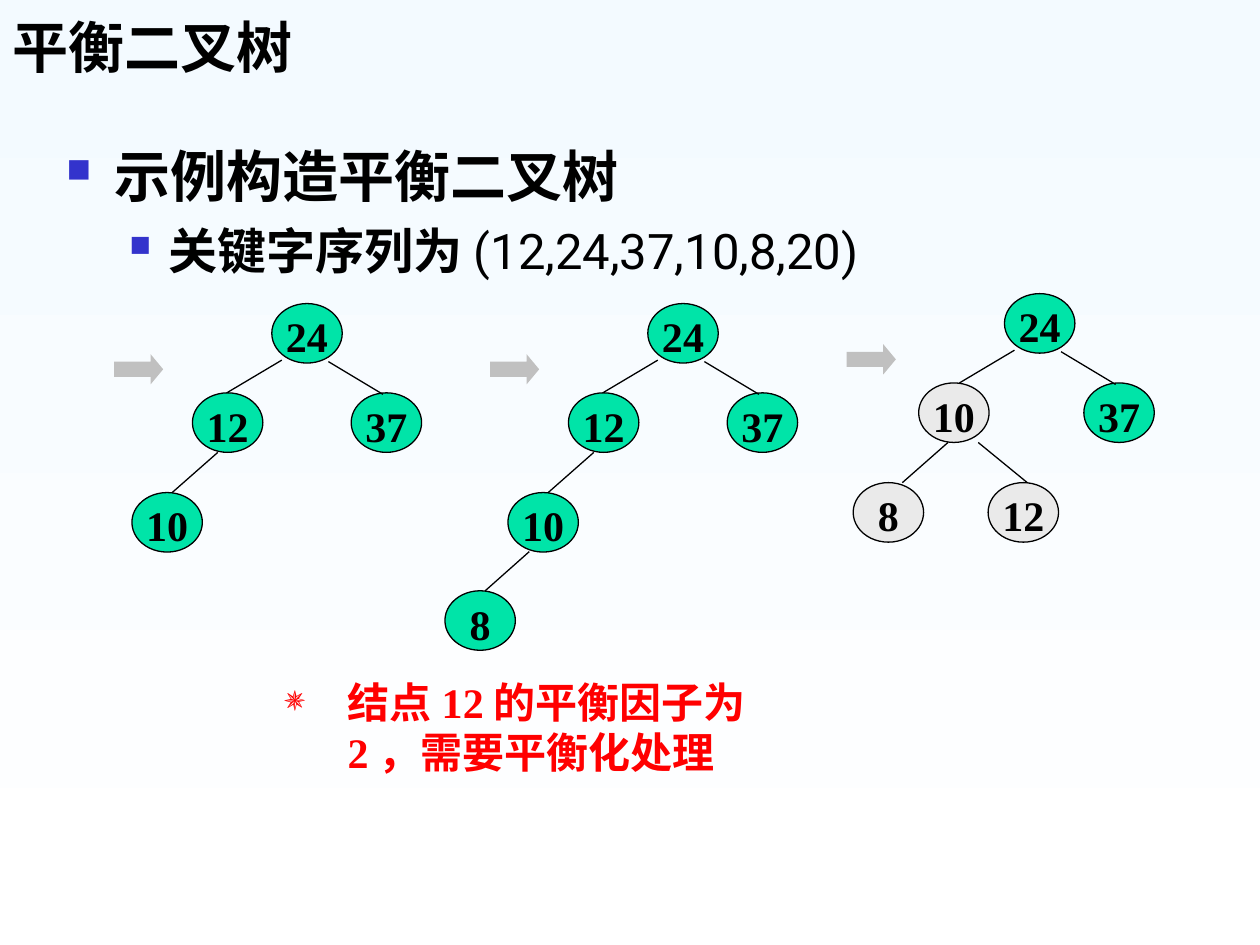
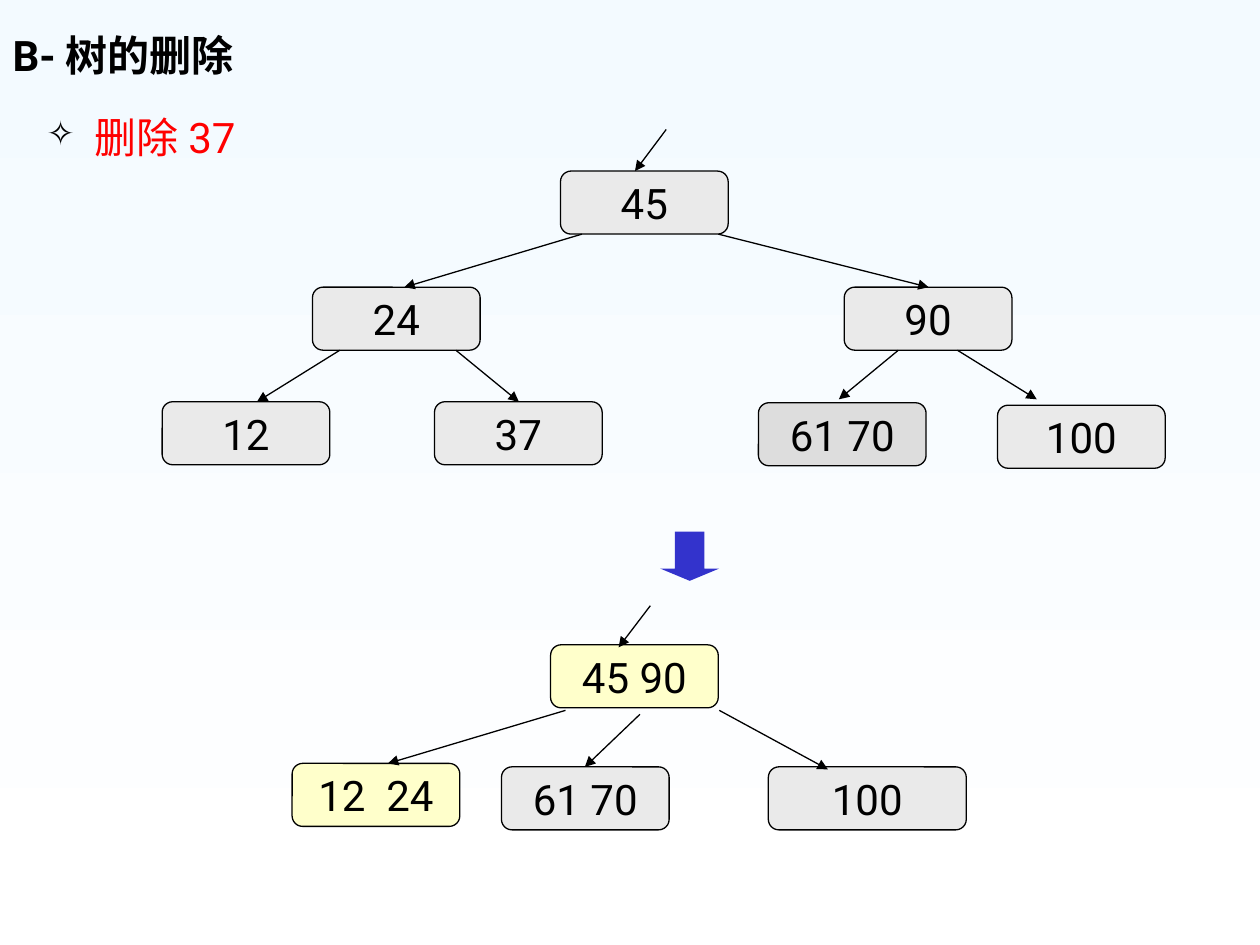
from dataclasses import dataclass
from lxml.etree import SubElement
from pptx import Presentation
from pptx.dml.color import RGBColor
from pptx.enum.shapes import MSO_CONNECTOR, MSO_SHAPE
from pptx.enum.text import MSO_ANCHOR, MSO_AUTO_SIZE, PP_ALIGN
from pptx.oxml.ns import qn
from pptx.util import Cm, Pt

COLORS = {
    "sky": "F3FAFF", "white": "FFFFFF", "black": "000000", "red": "FF0000",
    "blue": "3333CC", "silver": "C0C0C0", "green": "00E4A8",
    "gray": "EAEAEA", "dark_gray": "DDDDDD", "yellow": "FFFFCB",
}
CJK, SANS, SERIF = "Noto Sans CJK SC", "Roboto", "Times New Roman"


@dataclass
class Node:
    text: str
    fill: str
    x: float
    y: float
    edge: tuple = None
    width: float = 3.38


def rgb(name):
    return RGBColor.from_string(COLORS[name])


def add_run(p, text, size=24, font=SANS, color="black", bold=False):
    r = p.add_run()
    r.text = text
    r.font.size = Pt(size)
    r.font.bold = bold
    r.font.color.rgb = rgb(color)
    r.font.name = font
    SubElement(r.font._element, qn("a:ea")).set("typeface", CJK)


def add_bullet(p, char, color, percent, left, hang):
    pPr = p._p.get_or_add_pPr()
    pPr.set("marL", str(Cm(left)))
    pPr.set("indent", str(-Cm(hang)))
    clr = SubElement(pPr, qn("a:buClr"))
    SubElement(clr, qn("a:srgbClr")).set("val", COLORS[color])
    SubElement(pPr, qn("a:buSzPct")).set("val", str(percent * 1000))
    SubElement(pPr, qn("a:buChar")).set("char", char)


def add_text_box(s, x, y, w, h):
    tf = s.shapes.add_textbox(Cm(x), Cm(y), Cm(w), Cm(h)).text_frame
    tf.word_wrap = True
    return tf


def add_shape(s, kind, x, y, w, h, fill, outlined=True):
    sp = s.shapes.add_shape(kind, Cm(x), Cm(y), Cm(w), Cm(h))
    sp.shadow.inherit = False
    sp.fill.solid()
    sp.fill.fore_color.rgb = rgb(fill)
    if outlined:
        sp.line.color.rgb = rgb("black")
        sp.line.width = Pt(0.75)
    else:
        sp.line.fill.background()
    return sp


def add_edge(s, x, y, edge, arrow):
    x1, y1, x2, y2 = edge
    c = s.shapes.add_connector(MSO_CONNECTOR.STRAIGHT, Cm(x + x1), Cm(y + y1),
                               Cm(x + x2), Cm(y + y2))
    c.line.color.rgb = rgb("black")
    c.line.width = Pt(0.75)
    if arrow:
        SubElement(c.line._get_or_add_ln(), qn("a:tailEnd")).set("type", "triangle")
    SubElement(c._element.spPr, qn("a:effectLst"))


def add_circle_node(s, x, y, node):
    sp = add_shape(s, MSO_SHAPE.OVAL, x + node.x, y + node.y, 1.42, 1.2, node.fill)
    tf = sp.text_frame
    tf.margin_left = tf.margin_right = tf.margin_bottom = 0
    tf.margin_top = Cm(0.3)
    tf.vertical_anchor = MSO_ANCHOR.TOP
    p = tf.paragraphs[0]
    p.alignment = PP_ALIGN.CENTER
    p.line_spacing = 0.64
    add_run(p, node.text, font=SERIF, bold=True)


def add_key_node(s, x, y, node):
    sp = add_shape(s, MSO_SHAPE.ROUNDED_RECTANGLE, x + node.x, y + node.y,
                   node.width, 1.27, node.fill)
    tf = sp.text_frame
    tf.word_wrap = False
    tf.vertical_anchor = MSO_ANCHOR.MIDDLE
    p = tf.paragraphs[0]
    p.alignment = PP_ALIGN.CENTER
    add_run(p, node.text)


def add_avl_tree(s, x, y, nodes):
    arrow = add_shape(s, MSO_SHAPE.RIGHT_ARROW, x - 3.18, y + 1.02, 0.99, 0.61,
                      "silver", outlined=False)
    arrow.adjustments[1] = 0.415
    for node in nodes:
        add_circle_node(s, x, y, node)
        if node.edge:
            add_edge(s, x, y, node.edge, arrow=False)


def add_b_tree(s, x, y, nodes):
    for node in nodes:
        add_key_node(s, x, y, node)
    for node in nodes:
        add_edge(s, x, y, node.edge, arrow=True)


def add_slide(prs, title, size, font):
    s = prs.slides.add_slide(prs.slide_layouts[5])
    sp = s.shapes.title
    sp.left, sp.top, sp.width, sp.height = Cm(0), Cm(0), Cm(21.64), Cm(1.73)
    tf = sp.text_frame
    tf.auto_size = MSO_AUTO_SIZE.NONE
    tf.vertical_anchor = MSO_ANCHOR.BOTTOM
    p = tf.paragraphs[0]
    p.alignment = PP_ALIGN.LEFT
    add_run(p, title, size=size, font=font, bold=True)
    return s


def avl_slide(prs):
    s = add_slide(prs, "平衡二叉树", 32, CJK)

    tf = add_text_box(s, 1.09, 2.72, 23.77, 4)
    p = tf.paragraphs[0]
    add_bullet(p, "■", "blue", 60, 0.96, 0.96)
    add_run(p, "示例构造平衡二叉树", size=32, bold=True)
    p = tf.add_paragraph()
    p.space_before = Pt(7)
    add_bullet(p, "■", "blue", 60, 2.06, 0.79)
    add_run(p, "关键字序列为", size=28, bold=True)
    add_run(p, "(12,24,37,10,8,20)", size=28)

    left_edge = (0.2, 1.14, -0.91, 1.8)
    top = [Node("24", "green", 0, 0),
           Node("37", "green", 1.6, 1.8, (1.14, 1.17, 2.24, 1.83))]
    inserted_10 = top + [
        Node("12", "green", -1.6, 1.8, left_edge),
        Node("10", "green", -2.82, 3.81, (-1.09, 3, -2.01, 3.81)),
    ]
    inserted_8 = inserted_10 + [
        Node("8", "green", -4.09, 5.79, (-2.39, 5, -3.28, 5.79)),
    ]
    rotated = top + [
        Node("10", "gray", -1.73, 1.8, left_edge),
        Node("12", "gray", -0.33, 3.81, (-0.53, 3, 0.46, 3.81)),
        Node("8", "gray", -3.05, 3.81, (-1.14, 3, -2.06, 3.81)),
    ]
    add_avl_tree(s, 5.48, 6.12, inserted_10)
    add_avl_tree(s, 13.06, 6.12, inserted_8)
    add_avl_tree(s, 20.25, 5.92, rotated)

    p = add_text_box(s, 5.49, 13.51, 11.1, 2.21).paragraphs[0]
    add_bullet(p, "✵", "red", 85, 1.27, 1.27)
    add_run(p, "结点12的平衡因子为2，需要平衡化处理", font=SERIF, color="red", bold=True)


def deletion_slide(prs):
    s = add_slide(prs, "B-树的删除", 24, SANS)

    p = add_text_box(s, 0.69, 2.13, 10.8, 3.4).paragraphs[0]
    add_bullet(p, "✧", "black", 80, 0.96, 0.96)
    add_run(p, "删除37", color="red")

    before = [
        Node("45", "gray", 0, 0, (2.13, -0.84, 1.5, 0)),
        Node("24", "gray", -5, 2.34, (0.43, 1.27, -3.15, 2.34)),
        Node("90", "gray", 5.72, 2.34, (3.18, 1.27, 7.42, 2.34)),
        Node("12", "gray", -8.03, 4.65, (-4.45, 3.61, -6.12, 4.65)),
        Node("37", "gray", -2.54, 4.65, (-2.11, 3.61, -0.84, 4.65)),
        Node("61 70", "dark_gray", 3.99, 4.67, (6.81, 3.61, 5.61, 4.6)),
        Node("100", "gray", 8.81, 4.72, (8, 3.61, 9.6, 4.6)),
    ]
    after = [
        Node("45 90", "yellow", 0, 0, (2.01, -0.79, 1.37, 0.05)),
        Node("12  24", "yellow", -5.21, 2.39, (0.3, 1.32, -3.28, 2.39)),
        Node("61 70", "gray", -0.99, 2.46, (1.8, 1.4, 0.69, 2.46)),
        Node("100", "gray", 4.39, 2.46, (3.4, 1.32, 5.59, 2.51), width=3.99),
    ]
    add_b_tree(s, 11.3, 3.45, before)
    arrow = add_shape(s, MSO_SHAPE.DOWN_ARROW, 13.31, 10.72, 1.19, 0.99,
                      "blue", outlined=False)
    arrow.adjustments[1] = 0.25
    add_b_tree(s, 11.1, 13, after)


def main():
    prs = Presentation()
    prs.slide_width, prs.slide_height = Cm(25.4), Cm(19.05)
    fill = prs.slide_master.background.fill
    fill.gradient()
    fill.gradient_angle = 270
    for stop, name in zip(fill.gradient_stops, ("sky", "white")):
        stop.color.rgb = rgb(name)
    avl_slide(prs)
    deletion_slide(prs)
    prs.save("out.pptx")


if __name__ == "__main__":
    main()
